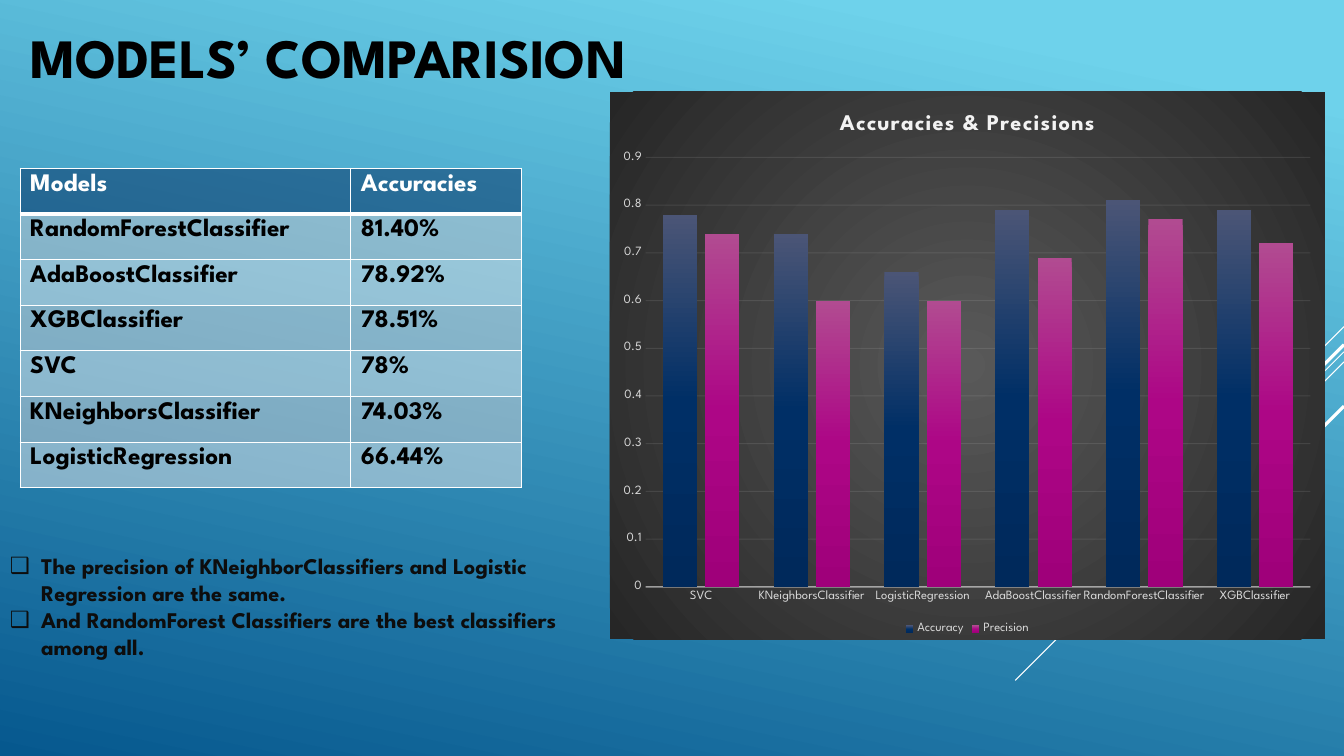
from pptx import Presentation
from pptx.chart.data import CategoryChartData
from pptx.dml.color import RGBColor
from pptx.enum.chart import XL_CHART_TYPE, XL_LEGEND_POSITION, XL_TICK_MARK
from pptx.enum.shapes import MSO_CONNECTOR
from pptx.enum.text import MSO_ANCHOR
from pptx.oxml import parse_xml
from pptx.oxml.ns import nsdecls, qn
from pptx.util import Inches, Pt

CLUSTERED = XL_CHART_TYPE.COLUMN_CLUSTERED
LEGEND_BOTTOM = XL_LEGEND_POSITION.BOTTOM
NO_TICK = XL_TICK_MARK.NONE
STRAIGHT = MSO_CONNECTOR.STRAIGHT
MIDDLE = MSO_ANCHOR.MIDDLE


def text_style(size, color, bold=True):
    return {"name": "League Spartan", "size": Pt(size), "bold": bold, "color": color}


class Theme:
    white = "FFFFFF"
    title = text_style(39.6, "000000")
    header = text_style(18, white)
    body = text_style(18, "000000")
    note = text_style(16, "0D0D0D")
    chart_title = text_style(16, "F2F2F2")
    chart_text = text_style(9, "D9D9D9", bold=False)
    chart_line = "F2F2F2"
    header_fill = "052F61"
    band_fills = ("CCCDD2", "E7E8EA")
    linear = '<a:lin ang="{}" scaled="0"/>'
    radial = ('<a:path path="circle"><a:fillToRect l="50000" t="50000" '
              'r="50000" b="50000"/></a:path>')
    background = [(10, "6ED2EB"), (100, "06588E")]
    chart_fill = [(0, "595959"), (100, "262626")]
    series_fills = (
        [(0, "4B5576"), (50, "002F66"), (100, "00295B")],
        [(0, "B14B91"), (50, "AD0686"), (100, "9F007A")],
    )


RAYS = [  # start x, start y, end x, end y, width in points
    (13.33, 3.24, 12.33, 4.24, 0.75),
    (13.33, 3.49, 10.07, 6.75, 0.75),
    (13.33, 3.59, 11.26, 5.67, 0.75),
    (13.33, 3.42, 11.42, 5.33, 2.25),
    (13.33, 4.03, 11.94, 5.42, 2.25),
]
MODEL_ROWS = [
    ("Models", "Accuracies"),
    ("RandomForestClassifier", "81.40%"),
    ("AdaBoostClassifier", "78.92%"),
    ("XGBClassifier", "78.51%"),
    ("SVC", "78%"),
    ("KNeighborsClassifier", "74.03%"),
    ("LogisticRegression", "66.44%"),
]
CATEGORIES = ["SVC", "KNeighborsClassifier", "LogisticRegression",
              "AdaBoostClassifier", "RandomForestClassifier", "XGBClassifier"]
SERIES = {
    "Accuracy": (0.78, 0.74, 0.66, 0.79, 0.81, 0.79),
    "Precision": (0.74, 0.6, 0.6, 0.69, 0.77, 0.72),
}
NOTES = [
    "The precision of KNeighborClassifiers and Logistic Regression are the same.",
    "And RandomForest Classifiers are the best classifiers among all.",
]


def set_values(target, values):
    for name, value in values.items():
        setattr(target, name, value)


def format_font(font, style):
    set_values(font, {key: value for key, value in style.items() if key != "color"})
    font.color.rgb = RGBColor.from_string(style["color"])


def add_alpha(element, percent):
    """Make the first RGB colour inside the element partly opaque."""
    color = element.find(".//" + qn("a:srgbClr"))
    color.append(parse_xml(f'<a:alpha {nsdecls("a")} val="{percent * 1000}"/>'))


def gradient(stops, shading):
    stop_xml = "".join(f'<a:gs pos="{position * 1000}"><a:srgbClr val="{color}"/></a:gs>'
                       for position, color in stops)
    return parse_xml(f'<a:gradFill {nsdecls("a")} rotWithShape="1">'
                     f'<a:gsLst>{stop_xml}</a:gsLst>{shading}</a:gradFill>')


def replace_fill(element, fill):
    solid = element.find(".//" + qn("a:solidFill"))
    solid.getparent().replace(solid, fill)


def add_background(slide):
    slide.background.fill.solid()
    slide.background.fill.fore_color.rgb = RGBColor.from_string(Theme.white)
    replace_fill(slide.element, gradient(Theme.background, Theme.linear.format(102 * 60000)))
    for *ends, width in RAYS:
        ray = slide.shapes.add_connector(STRAIGHT, *map(Inches, ends))
        ray.line.width = Pt(width)
        ray.line.color.rgb = RGBColor.from_string(Theme.white)
        ray.element.spPr.append(parse_xml(f'<a:effectLst {nsdecls("a")}/>'))


def add_text(slide, box, lines, style, **frame_values):
    shape = slide.shapes.add_textbox(*map(Inches, box))
    frame = shape.text_frame
    set_values(frame, {"word_wrap": True, **frame_values})
    frame.text = "\n".join(lines)
    for paragraph in frame.paragraphs:
        format_font(paragraph.runs[0].font, style)
    return frame


def add_notes(slide, box):
    for paragraph in add_text(slide, box, NOTES, Theme.note).paragraphs:
        properties = paragraph._p.get_or_add_pPr()
        properties.set("marL", str(Inches(0.31)))
        properties.set("indent", str(-Inches(0.31)))
        properties.append(parse_xml(f'<a:buFont {nsdecls("a")} typeface="Arial"/>'))
        properties.append(parse_xml(f'<a:buChar {nsdecls("a")} char="❑"/>'))


def format_cell(cell, fill, style, bottom_width):
    cell.fill.solid()
    cell.fill.fore_color.rgb = RGBColor.from_string(fill)
    format_font(cell.text_frame.paragraphs[0].runs[0].font, style)
    properties = cell._tc.get_or_add_tcPr()
    add_alpha(properties, 50)
    widths = {"lnL": 1, "lnR": 1, "lnT": 1, "lnB": bottom_width}
    for index, (side, width) in enumerate(widths.items()):
        properties.insert(index, parse_xml(
            f'<a:{side} {nsdecls("a")} w="{Pt(width)}"><a:solidFill>'
            f'<a:srgbClr val="{Theme.white}"/></a:solidFill></a:{side}>'))


def add_model_table(slide, box):
    table = slide.shapes.add_table(len(MODEL_ROWS), 2, *map(Inches, box)).table
    table.horz_banding = False
    for column, share in zip(table.columns, (0.66, 0.34)):
        column.width = Inches(box[2] * share)
    for row, values in enumerate(MODEL_ROWS):
        is_header = row == 0
        fill = Theme.header_fill if is_header else Theme.band_fills[(row - 1) % 2]
        for column, value in enumerate(values):
            cell = table.cell(row, column)
            cell.text = value
            format_cell(cell, fill, Theme.header if is_header else Theme.body,
                        3 if is_header else 1)


def format_axes(chart):
    category_axis, value_axis = chart.category_axis, chart.value_axis
    for axis in (category_axis, value_axis):
        set_values(axis, {"major_tick_mark": NO_TICK, "minor_tick_mark": NO_TICK})
        format_font(axis.tick_labels.font, Theme.chart_text)
    set_values(value_axis, {"minimum_scale": 0, "maximum_scale": 0.9, "major_unit": 0.1})
    set_values(value_axis.tick_labels, {"number_format": "General",
                                        "number_format_is_linked": False})
    value_axis.format.line.fill.background()
    grid = value_axis.major_gridlines.format.line
    for line, width in ((category_axis.format.line, 1), (grid, 0.75)):
        line.width = Pt(width)
        line.color.rgb = RGBColor.from_string(Theme.chart_line)
    add_alpha(chart.element.find(".//" + qn("c:catAx")).find(qn("c:spPr")), 54)
    add_alpha(chart.element.find(".//" + qn("c:majorGridlines")), 10)


def set_plot_layout(chart, **fractions):
    plot_area = chart.element.find(".//" + qn("c:plotArea"))
    for layout in plot_area.findall(qn("c:layout")):
        plot_area.remove(layout)
    values = "".join(f'<c:{key} val="{value}"/>' for key, value in fractions.items())
    plot_area.insert(0, parse_xml(
        f'<c:layout {nsdecls("c")}><c:manualLayout><c:layoutTarget val="inner"/>'
        f'<c:xMode val="edge"/><c:yMode val="edge"/>{values}</c:manualLayout></c:layout>'))


def add_score_chart(slide, box):
    data = CategoryChartData()
    data.categories = CATEGORIES
    for name, values in SERIES.items():
        data.add_series(name, values)
    chart = slide.shapes.add_chart(CLUSTERED, *map(Inches, box), data).chart
    format_font(chart.font, Theme.chart_text)
    set_values(chart, {"has_title": True, "has_legend": True})
    chart.chart_title.text_frame.text = "Accuracies & Precisions"
    title_run = chart.chart_title.text_frame.paragraphs[0].runs[0]
    format_font(title_run.font, Theme.chart_title)
    title_run._r.get_or_add_rPr().set("spc", "100")
    set_values(chart.legend, {"position": LEGEND_BOTTOM, "include_in_layout": False})
    format_font(chart.legend.font, Theme.chart_text)
    set_values(chart.plots[0], {"gap_width": 100, "overlap": -24, "vary_by_categories": False})
    format_axes(chart)
    set_plot_layout(chart, x=0.05, y=0.12, w=0.93, h=0.785)
    elements = chart.element.findall(".//" + qn("c:ser"))
    for series, element, stops in zip(chart.plots[0].series, elements, Theme.series_fills):
        series.format.fill.solid()
        series.format.fill.fore_color.rgb = RGBColor.from_string(Theme.white)
        replace_fill(element, gradient(stops, Theme.linear.format(90 * 60000)))
    area = parse_xml(f'<c:spPr {nsdecls("c", "a")}><a:ln><a:noFill/></a:ln></c:spPr>')
    area.insert(0, gradient(Theme.chart_fill, Theme.radial))
    chart.element.find(qn("c:chart")).addnext(area)


def main():
    presentation = Presentation()
    set_values(presentation, {"slide_width": Inches(13.33), "slide_height": Inches(7.5)})
    slide = presentation.slides.add_slide(presentation.slide_layouts[6])
    add_background(slide)
    add_text(slide, (0.2, 0.16, 8.22, 0.8), ["MODELS’ COMPARISION"], Theme.title,
             vertical_anchor=MIDDLE)
    add_score_chart(slide, (6.05, 0.91, 7.09, 5.43))
    add_model_table(slide, (0.2, 1.67, 4.97, 3.17))
    add_notes(slide, (0, 5.43, 6.05, 1.18))
    presentation.save("out.pptx")


if __name__ == "__main__":
    main()
